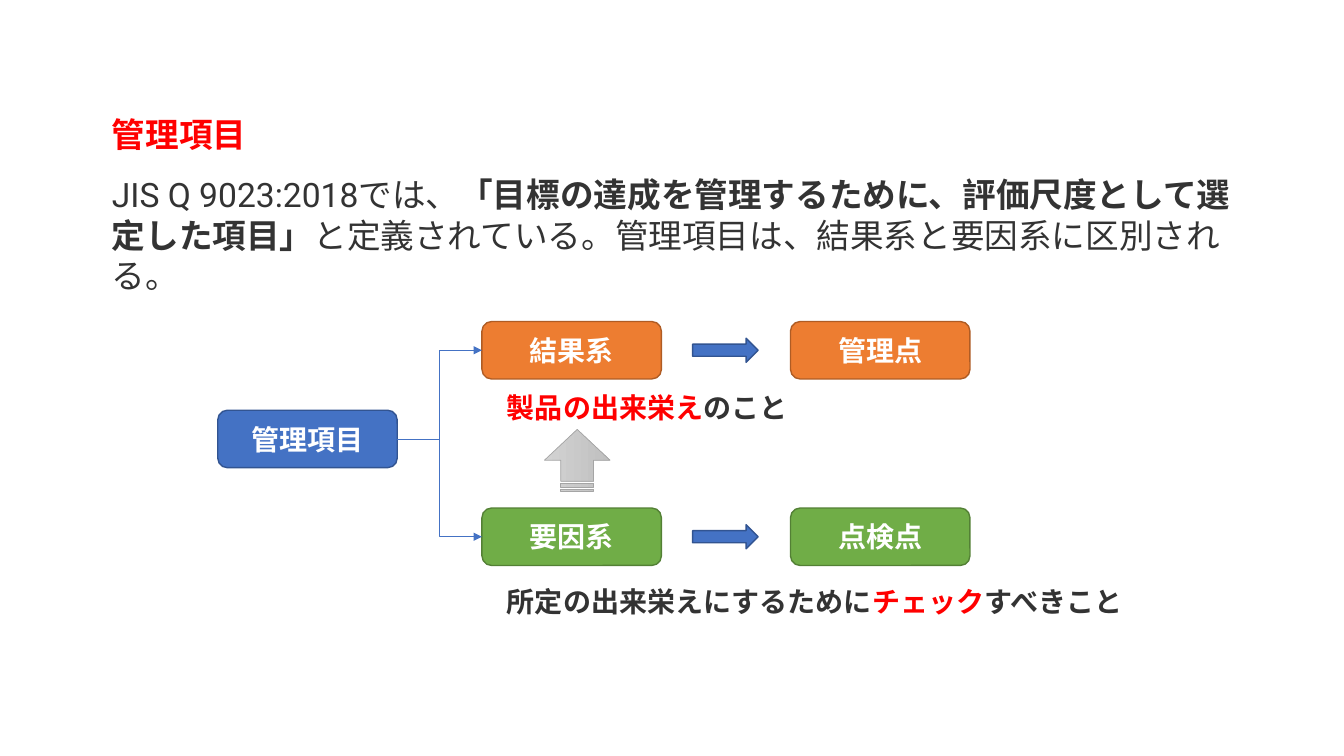
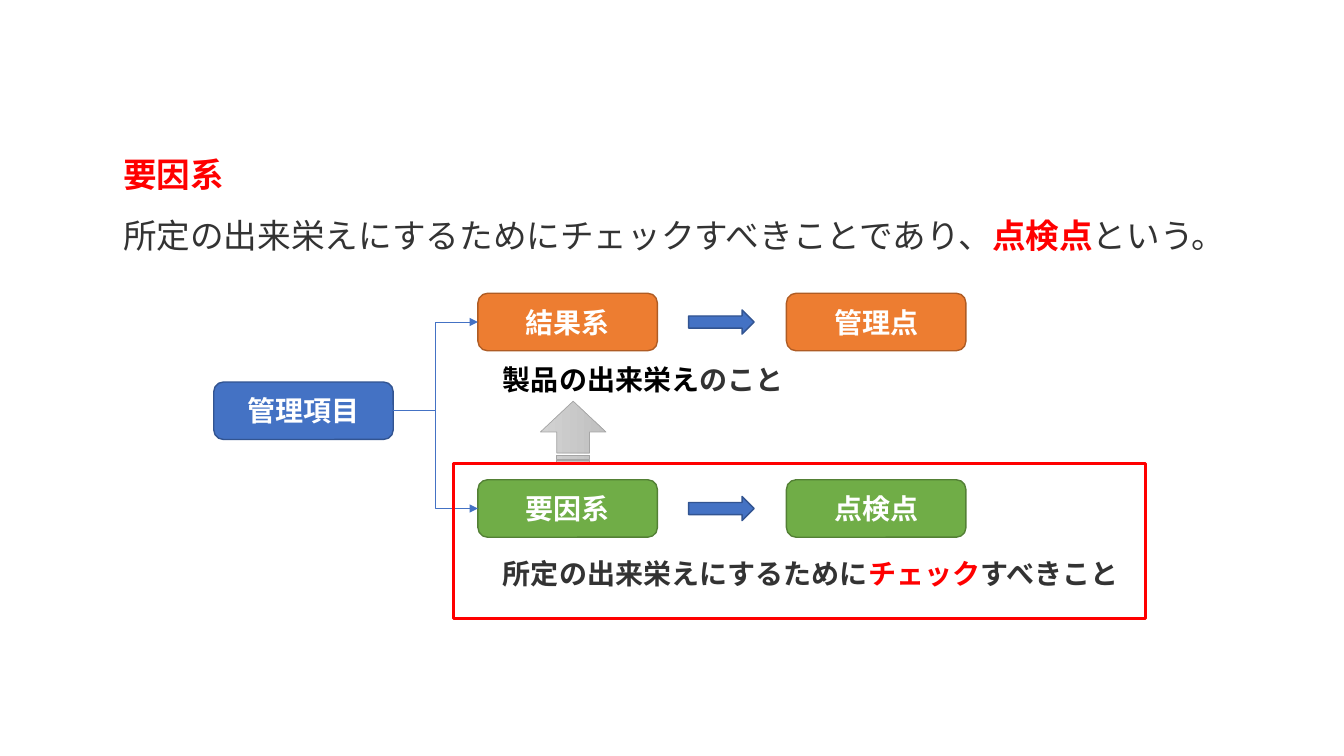
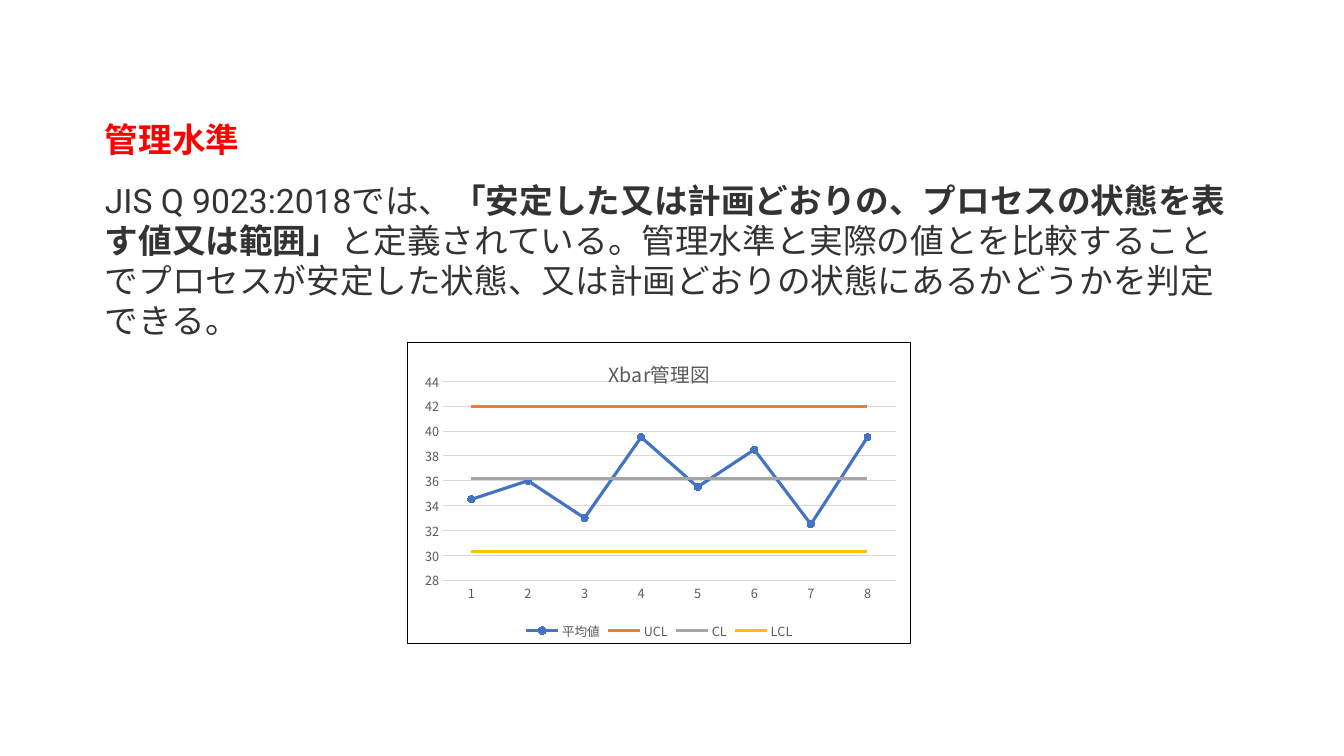
"""Build three slides on control items, check points and control levels."""
from dataclasses import dataclass

from lxml import etree
from pptx import Presentation
from pptx import util as u
from pptx.chart import data as cd
from pptx.dml.color import RGBColor
from pptx.enum import chart as ce, shapes as sh, text as tx
from pptx.oxml import parse_xml
from pptx.oxml import ns


@dataclass(frozen=True)
class Theme:
    """Hold the colours, fonts and type sizes of the deck."""
    red: str = "FF0000"
    ink: str = "333333"
    black: str = "000000"
    white: str = "FFFFFF"
    blue: tuple = ("4472C4", "325491")
    orange: tuple = ("ED7D31", "AF5C24")
    green: tuple = ("70AD47", "538035")
    gray: str = "A5A5A5"
    gold: str = "FFC000"
    fade: tuple = ("D2D2D2", "C0C0C0")
    rule: str = "D9D9D9"
    label: str = "595959"
    latin: str = "Roboto"
    asian: str = "Noto Sans CJK JP"
    head: int = 24
    node: int = 20
    title: int = 14
    small: int = 9
    lead: float = 1.2


T = Theme()
WIDE, HIGH = 13.33, 7.5
NODE_W, NODE_H = 1.78, 0.57
COLS = (0, 2.62, 5.68)
ROWS = (0, 0.88, 1.85)
ARROW_W, ARROW_H = 0.65, 0.24
STRIPE_W, STRIPE_H = 0.61, 0.65
LINE_H, GAP = 0.4, 0.2


def inch(*vals):
    """Turn numbers into inch lengths."""
    return [u.Inches(v) for v in vals]


def rgb(code):
    """Turn a hex code into a colour."""
    return RGBColor.from_string(code)


def style(font, size, color, bold=False, name=T.asian):
    """Set size, colour, weight and both typefaces of a font."""
    font.size, font.bold, font.name = u.Pt(size), bold, name
    font.color.rgb = rgb(color)
    east = etree.Element(ns.qn("a:ea"), typeface=T.asian)
    font._element.find(ns.qn("a:latin")).addnext(east)


def edge(line, color, width):
    """Set the colour and width of a line."""
    line.color.rgb, line.width = rgb(color), u.Pt(width)


def write(frame, runs, size, color, bold=False, name=T.asian):
    """Fill a frame with one left-aligned paragraph of (text, bold, colour) runs."""
    frame.word_wrap, frame.auto_size = True, tx.MSO_AUTO_SIZE.NONE
    frame.vertical_anchor = tx.MSO_ANCHOR.TOP
    para = frame.paragraphs[0]
    props = para._p.get_or_add_pPr()
    props.set("marL", "0")
    props.set("indent", "0")
    etree.SubElement(props, ns.qn("a:buNone"))
    para.alignment = tx.PP_ALIGN.LEFT
    para.line_spacing, para.space_before = u.Pt(size * T.lead), u.Pt(0)
    style(para.font, size, color, bold, name)
    for words, heavy, tint in runs:
        run = para.add_run()
        run.text = words
        if heavy != bold:
            run.font.bold = heavy
        if tint != color:
            run.font.color.rgb = rgb(tint)


def place(shape, *box):
    """Move and size a shape."""
    shape.left, shape.top, shape.width, shape.height = inch(*box)


def page(deck, x, y, wide, lines, head, runs):
    """Add a slide with a red heading and a definition below it."""
    slide = deck.slides.add_slide(deck.slide_layouts[1])
    title, body = slide.placeholders
    place(title, x, y, wide, LINE_H + 0.1)
    write(title.text_frame, [(head, True, T.red)], T.head, T.red, True)
    place(body, x, y + LINE_H + GAP, wide, lines * LINE_H + 0.1)
    write(body.text_frame, runs, T.head, T.ink, name=T.latin)
    return slide


def block(slide, kind, box, pair, width=1):
    """Add a preset shape with a (fill, line) pair; a fill of None is empty."""
    shape = slide.shapes.add_shape(kind, *inch(*box))
    shape.shadow.inherit = False
    fill, line = pair
    if fill:
        shape.fill.solid()
        shape.fill.fore_color.rgb = rgb(fill)
    else:
        shape.fill.background()
    edge(shape.line, line, width)
    return shape


def node(slide, x, y, words, pair):
    """Add a labelled rounded box."""
    kind = sh.MSO_SHAPE.FLOWCHART_ALTERNATE_PROCESS
    shape = block(slide, kind, (x, y, NODE_W, NODE_H), pair)
    frame = shape.text_frame
    frame.text, frame.vertical_anchor = words, tx.MSO_ANCHOR.MIDDLE
    para = frame.paragraphs[0]
    para.alignment = tx.PP_ALIGN.CENTER
    style(para.font, T.node, T.white, True)
    return shape


def link(slide, start, end):
    """Join two boxes with an elbow arrow."""
    line = slide.shapes.add_connector(sh.MSO_CONNECTOR.ELBOW, 0, 0, 0, 0)
    line.begin_connect(start, 3)
    line.end_connect(end, 1)
    edge(line.line, T.blue[0], 0.5)
    tip = line.line._get_or_add_ln()
    etree.SubElement(tip, ns.qn("a:tailEnd"), type="triangle")
    etree.SubElement(line._element.spPr, ns.qn("a:effectLst"))


def note(slide, x, y, wide, runs):
    """Add a bold caption."""
    box = slide.shapes.add_textbox(*inch(x, y, wide, 0.44))
    write(box.text_frame, runs, T.node, T.ink, True, T.latin)


def lift(slide, x, y):
    """Add the striped arrow that points up."""
    kind = sh.MSO_SHAPE.STRIPED_RIGHT_ARROW
    shape = block(slide, kind, (x, y, STRIPE_W, STRIPE_H), (None, T.gray), 0.5)
    shape.rotation = 270
    shape.fill.gradient()
    shape.fill.gradient_angle = 270
    for stop, color in zip(shape.fill.gradient_stops, T.fade):
        stop.color.rgb = rgb(color)


def flow(slide, x, y, tint):
    """Draw the tree of control items from its top left corner."""
    root = node(slide, x, y + ROWS[1], "管理項目", T.blue)
    rows = ((ROWS[0], "結果系", "管理点", T.orange),
            (ROWS[2], "要因系", "点検点", T.green))
    for row, cause, point, pair in rows:
        top = y + row
        link(slide, root, node(slide, x + COLS[1], top, cause, pair))
        mid = top + (NODE_H - ARROW_H) / 2
        block(slide, sh.MSO_SHAPE.RIGHT_ARROW,
              (x + 4.71, mid, ARROW_W, ARROW_H), T.blue)
        node(slide, x + COLS[2], top, point, pair)
    note(slide, x + 2.77, y + 0.64, 4.37,
         [("製品の出来栄え", True, tint), ("のこと", True, T.ink)])
    note(slide, x + 2.77, y + 2.56, 6.47,
         [("所定の出来栄えにするために", True, T.ink),
          ("チェック", True, T.red), ("すべきこと", True, T.ink)])
    lift(slide, x + 3.26, y + 1.05)


def frame(chart, area):
    """Give a chart a thin border and a fixed inner plot area."""
    root = chart._chartSpace
    root.find(ns.qn("c:txPr")).addprevious(parse_xml(
        f'<c:spPr {ns.nsdecls("c", "a")}><a:solidFill><a:srgbClr val="{T.white}"/>'
        f'</a:solidFill><a:ln w="9525"><a:solidFill><a:srgbClr val="{T.black}"/>'
        '</a:solidFill></a:ln></c:spPr>'))
    if root.find(ns.qn("c:roundedCorners")) is None:
        corner = etree.Element(ns.qn("c:roundedCorners"), val="0")
        date = root.find(ns.qn("c:date1904"))
        if date is None:
            root.insert(0, corner)
        else:
            date.addnext(corner)
    plot = root.find(".//" + ns.qn("c:plotArea"))
    for old in plot.findall(ns.qn("c:layout")):
        plot.remove(old)
    modes = '<c:xMode val="edge"/><c:yMode val="edge"/>'
    sizes = "".join(f'<c:{k} val="{v}"/>' for k, v in zip("xywh", area))
    plot.insert(0, parse_xml(
        f'<c:layout {ns.nsdecls("c")}><c:manualLayout>'
        f'<c:layoutTarget val="inner"/>{modes}{sizes}'
        '</c:manualLayout></c:layout>'))


def graph(slide, box, head, cats, rows):
    """Add the control chart; rows hold name, values and colour."""
    data = cd.CategoryChartData()
    data.categories = cats
    for name, vals, _ in rows:
        data.add_series(name, vals)
    chart = slide.shapes.add_chart(
        ce.XL_CHART_TYPE.LINE_MARKERS, *inch(*box), data).chart
    style(chart.font, 10, T.black)
    chart.has_title = True
    title = chart.chart_title
    title.include_in_layout = False
    title.text_frame.text = head
    style(title.text_frame.paragraphs[0].font, T.title, T.label)
    chart.has_legend = True
    chart.legend.position = ce.XL_LEGEND_POSITION.BOTTOM
    chart.legend.include_in_layout = False
    style(chart.legend.font, T.small, T.label)
    cat, val = chart.category_axis, chart.value_axis
    for axis in (cat, val):
        axis.major_tick_mark = axis.minor_tick_mark = ce.XL_TICK_MARK.NONE
        style(axis.tick_labels.font, T.small, T.label)
    edge(cat.format.line, T.rule, 0.75)
    val.format.line.fill.background()
    val.minimum_scale, val.maximum_scale, val.major_unit = 28, 44, 2
    val.has_major_gridlines = True
    edge(val.major_gridlines.format.line, T.rule, 0.75)
    chart.plots[0].vary_by_categories = False
    for i, (line, row) in enumerate(zip(chart.plots[0].series, rows)):
        line.smooth = False
        edge(line.format.line, row[2], 2.25)
        mark = line.marker
        if i:
            mark.style = ce.XL_MARKER_STYLE.NONE
        else:
            mark.style, mark.size = ce.XL_MARKER_STYLE.CIRCLE, 5
            mark.format.fill.solid()
            mark.format.fill.fore_color.rgb = rgb(row[2])
            edge(mark.format.line, row[2], 0.75)
    frame(chart, (0.07, 0.13, 0.9, 0.66))


def main():
    """Build and save the deck."""
    deck = Presentation()
    deck.slide_width, deck.slide_height = inch(WIDE, HIGH)
    source = ("JIS Q 9023:2018では、", False, T.ink)

    item = page(deck, 1.01, 1.08, 11.52, 3, "管理項目", [
        source,
        ("「目標の達成を管理するために、評価尺度として選定した項目」", True, T.ink),
        ("と定義されている。管理項目は、結果系と要因系に区別される。", False, T.ink)])
    flow(item, 2.16, 3.19, T.red)

    cause = page(deck, 1.12, 1.48, 11.1, 1, "要因系", [
        ("所定の出来栄えにするためにチェックすべきことであり、", False, T.ink),
        ("点検点", True, T.red), ("という。", False, T.ink)])
    flow(cause, 2.12, 2.91, T.black)
    block(cause, sh.MSO_SHAPE.RECTANGLE, (4.5, 4.6, 6.86, 1.54), (None, T.red), 2.25)

    level = page(deck, 0.94, 1.13, 11.46, 4, "管理水準", [
        source,
        ("「安定した又は計画どおりの、プロセスの状態を表す値又は範囲」", True, T.ink),
        ("と定義されている。管理水準と実際の値とを比較することでプロセスが安定した状態、"
         "又は計画どおりの状態にあるかどうかを判定できる。", False, T.ink)])
    means = (34.5, 36, 33, 39.5, 35.5, 38.5, 32.5, 39.5)
    count = len(means)
    graph(level, (4.04, 3.39, 5, 3), "Xbar管理図",
          [str(i + 1) for i in range(count)],
          (("平均値", means, T.blue[0]), ("UCL", [42] * count, T.orange[0]),
           ("CL", [36.2] * count, T.gray), ("LCL", [30.3] * count, T.gold)))
    deck.save("out.pptx")


if __name__ == "__main__":
    main()
